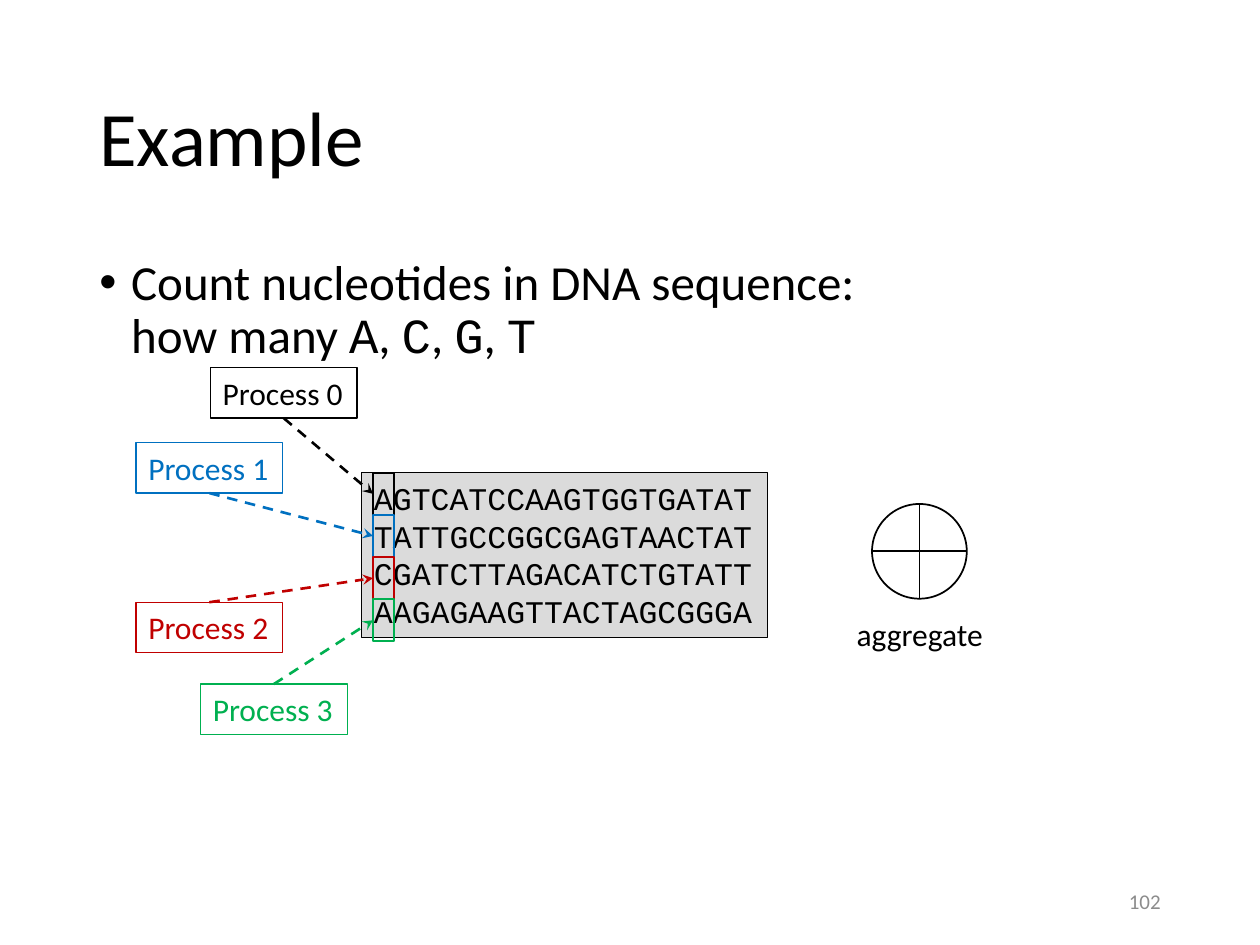
"""Builds a slide on counting nucleotides with four processes."""
import pptx
import pptx.util
import pptx.dml.color
import pptx.enum.dml
import pptx.enum.shapes
import pptx.enum.text
import pptx.oxml.ns
import lxml.etree

Cm, Pt = pptx.util.Cm, pptx.util.Pt
qn = pptx.oxml.ns.qn
Align = pptx.enum.text.PP_ALIGN
Fit = pptx.enum.text.MSO_AUTO_SIZE
Mid = pptx.enum.text.MSO_ANCHOR.MIDDLE
Form = pptx.enum.shapes.MSO_SHAPE

HUES = {"black": "000000", "white": "FFFFFF", "gray": "DBDBDB", "pale": "8C8C8C",
        "blue": "0070C0", "red": "C00000", "green": "00B050"}
SANS, MONO = "Calibri", "Courier New"
DNA = ["AGTCATCCAAGTGGTGATAT", "TATTGCCGGCGAGTAACTAT",
       "CGATCTTAGACATCTGTATT", "AAGAGAAGTTACTAGCGGGA"]
TASKS = [("black", 4.24, 7.41, 2), ("blue", 2.74, 8.92, 2),
         ("red", 2.74, 12.14, 0), ("green", 4.04, 13.79, 0)]
CELL = 0.85


class Deck:
    def __init__(self):
        self.prs = pptx.Presentation()
        self.prs.slide_width, self.prs.slide_height = Cm(25.4), Cm(19.05)
        self.slide = self.prs.slides.add_slide(self.prs.slide_layouts[1])
        self.shapes = self.slide.shapes

    def rgb(self, hue):
        return pptx.dml.color.RGBColor.from_string(HUES[hue])

    def font(self, run, size, hue="black", face=SANS):
        run.font.size, run.font.name = Pt(size), face
        run.font.color.rgb = self.rgb(hue)

    def edge(self, line, hue, width):
        line.color.rgb, line.width = self.rgb(hue), Pt(width)

    def place(self, shape, x, y, w, h):
        shape.left, shape.top, shape.width, shape.height = map(Cm, (x, y, w, h))
        shape.text_frame.auto_size = Fit.NONE

    def title(self, text, *spot):
        shape = self.shapes.title
        self.place(shape, *spot)
        shape.text_frame.text = text
        shape.text_frame.vertical_anchor = Mid
        para = shape.text_frame.paragraphs[0]
        para.alignment, para.line_spacing = Align.LEFT, 0.9
        self.font(para.runs[0], 44)

    def body(self, lead, bases, *spot):
        shape = self.slide.placeholders[1]
        self.place(shape, *spot)
        para = shape.text_frame.paragraphs[0]
        para.text = lead
        props = para._p.get_or_add_pPr()
        props.set("marL", str(Cm(0.64)))
        props.set("indent", str(-Cm(0.64)))
        para.line_spacing, para.space_before = 0.9, Pt(0)
        for gap in para._p.findall(qn("a:br")):
            lxml.etree.SubElement(gap, qn("a:rPr"), sz="2800")
        for part in ", ".join(bases).split(" "):
            para.add_run().text = part[0]
            if len(part) > 1:
                para.add_run().text = ", "
        for run in para.runs:
            self.font(run, 28, face=MONO if run.text in bases else SANS)

    def text(self, text, x, y, w, h, size=18, hue="black", face=SANS):
        box = self.shapes.add_textbox(Cm(x), Cm(y), Cm(w), Cm(h))
        frame = box.text_frame
        frame.text = text
        frame.word_wrap, frame.auto_size = False, Fit.SHAPE_TO_FIT_TEXT
        for para in frame.paragraphs:
            self.font(para.runs[0], size, hue, face)
        return box

    def panel(self, text, x, y, w, h, hue="black", fill="white", face=SANS):
        box = self.text(text, x, y, w, h, hue=hue, face=face)
        box.fill.solid()
        box.fill.fore_color.rgb = self.rgb(fill)
        self.edge(box.line, hue, 0.75)
        return box

    def shape(self, form, x, y, w, h, hue="black", fill=None):
        item = self.shapes.add_shape(form, Cm(x), Cm(y), Cm(w), Cm(h))
        item.shadow.inherit = False
        if fill:
            item.fill.solid()
            item.fill.fore_color.rgb = self.rgb(fill)
        else:
            item.fill.background()
        self.edge(item.line, hue, 1)
        return item

    def arrow(self, start, side, end, hue):
        kind = pptx.enum.shapes.MSO_CONNECTOR.STRAIGHT
        link = self.shapes.add_connector(kind, 0, 0, 0, 0)
        link.begin_connect(start, side)
        link.end_connect(end, 1)
        self.edge(link.line, hue, 1.5)
        link.line.dash_style = pptx.enum.dml.MSO_LINE.DASH
        lxml.etree.SubElement(link.line._get_or_add_ln(), qn("a:tailEnd"), type="stealth")
        lxml.etree.SubElement(link._element.spPr, qn("a:effectLst"))

    def number(self, text, *spot):
        box = self.text(text, *spot, size=12, hue="pale")
        frame = box.text_frame
        frame.word_wrap, frame.auto_size = True, Fit.NONE
        frame.vertical_anchor = Mid
        frame.paragraphs[0].alignment = Align.RIGHT


def main():
    deck = Deck()
    deck.title("Example", 1.75, 1.02, 21.9, 3.68)
    deck.body("Count nucleotides in DNA sequence:\vhow many ", "ACGT",
              1.75, 5.08, 21.9, 12.09)
    deck.panel("\n".join(DNA), 7.29, 9.53, 8.18, 3.33, fill="gray", face=MONO)
    for rank, (hue, x, y, side) in enumerate(TASKS):
        box = deck.panel(f"Process {rank}", x, y, 2.96, 1.02, hue=hue)
        cell = deck.shape(Form.RECTANGLE, 7.52, 9.53 + rank * CELL, 0.43, CELL, hue)
        deck.arrow(box, side, cell, hue)
    deck.shape(Form.FLOWCHART_OR, 17.58, 10.16, 1.91, 1.91, fill="white")
    deck.text("aggregate", 17.02, 12.27, 3.1, 1.02)
    deck.number("102", 17.93, 17.65, 5.72, 1.02)
    deck.prs.save("out.pptx")


if __name__ == "__main__":
    main()
